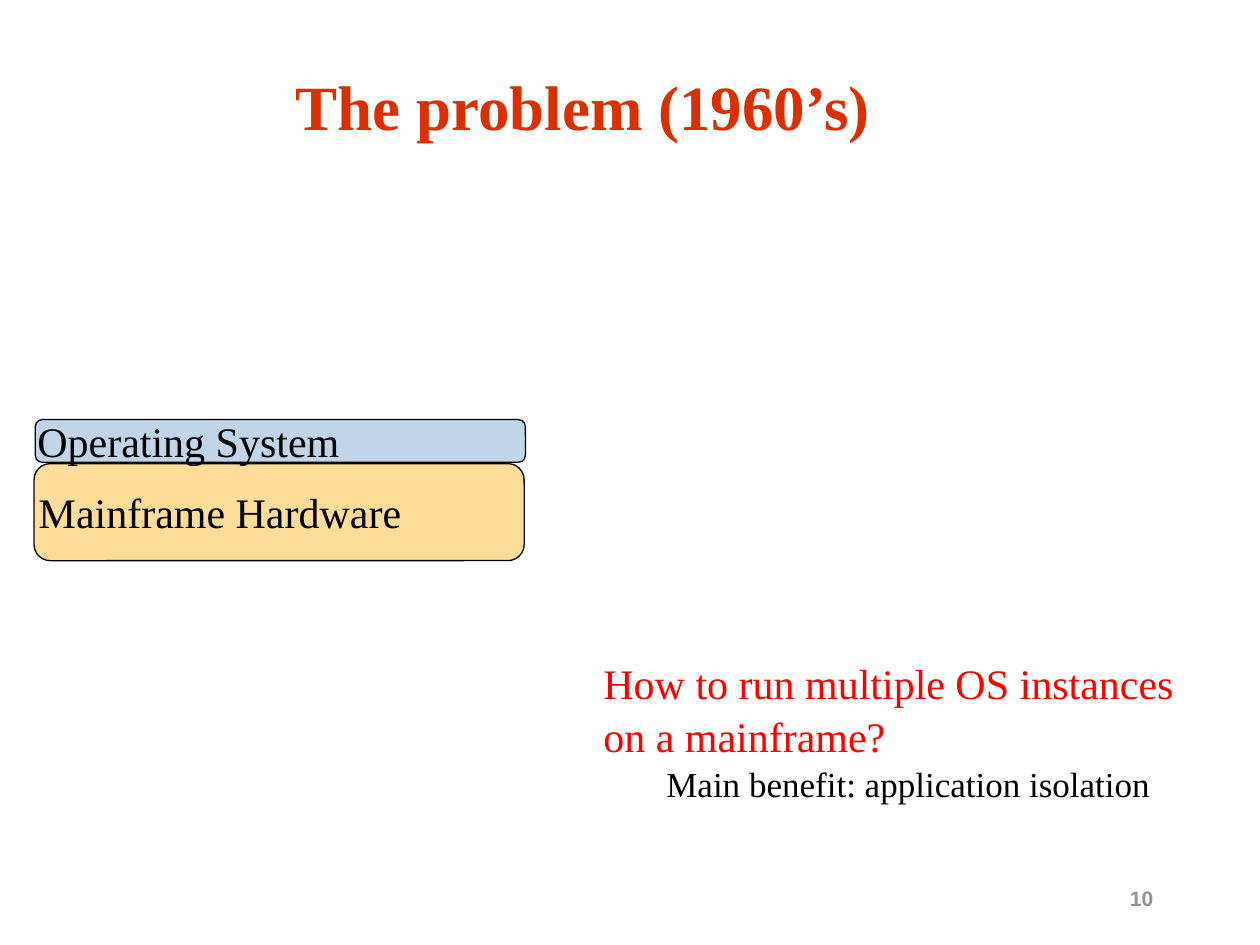
from pptx import Presentation
from pptx.dml.color import RGBColor
from pptx.enum import shapes, text
from pptx.util import Inches, Pt

BLACK = RGBColor(0, 0, 0)
RED = RGBColor(0xFF, 0, 0)
ORANGE = RGBColor(0xDC, 0x2F, 0)
GREY = RGBColor(0x91, 0x91, 0x91)
SAND = RGBColor(0xFF, 0xDD, 0x99)
BLUE = RGBColor(0xC0, 0xD5, 0xEA)
SERIF = "Times New Roman"
LEFT, MID = text.PP_ALIGN.LEFT, text.PP_ALIGN.CENTER
TOP, MIDDLE = text.MSO_ANCHOR.TOP, text.MSO_ANCHOR.MIDDLE


def set_frame(frame, anchor, pad_x, pad_y):
    form = {"word_wrap": True, "vertical_anchor": anchor,
            "margin_left": Inches(pad_x), "margin_right": Inches(pad_x),
            "margin_top": Inches(pad_y), "margin_bottom": Inches(pad_y)}
    for key, value in form.items():
        setattr(frame, key, value)


def write(para, words, size, color, align=LEFT, font=SERIF, bold=False):
    para.alignment = align
    run = para.add_run()
    run.text = words
    run.font.color.rgb = color
    form = {"name": font, "size": Pt(size), "bold": bold}
    for key, value in form.items():
        setattr(run.font, key, value)


deck = Presentation()
deck.slide_width, deck.slide_height = Inches(10), Inches(7.5)
slide = deck.slides.add_slide(deck.slide_layouts[6])

# Title and page number
labels = [
    ("The problem (1960’s)", (0.25, 0.17, 8.75, 1.33), MIDDLE,
     36, ORANGE, MID, SERIF),
    ("10", (8.87, 6.98, 1, 0.3), TOP, 12, GREY, LEFT, "Arial"),
]
for words, box, anchor, size, color, align, font in labels:
    frame = slide.shapes.add_textbox(*map(Inches, box)).text_frame
    set_frame(frame, anchor, 0.1, 0.05)
    write(frame.paragraphs[0], words, size, color, align, font, True)

# System stack
layers = [
    ("Mainframe Hardware", (0.27, 3.68, 3.89, 0.77), SAND),
    ("Operating System", (0.28, 3.33, 3.89, 0.34), BLUE),
]
for words, box, color in layers:
    layer = slide.shapes.add_shape(
        shapes.MSO_SHAPE.ROUNDED_RECTANGLE, *map(Inches, box))
    layer.shadow.inherit = False
    layer.fill.solid()
    layer.fill.fore_color.rgb = color
    layer.line.color.rgb = BLACK
    layer.line.width = Pt(0.75)
    set_frame(layer.text_frame, MIDDLE, 0, 0)
    write(layer.text_frame.paragraphs[0], words, 24, BLACK)

# Question and benefit
box = (4.69, 5.17, 4.81, 1.24)
frame = slide.shapes.add_textbox(*map(Inches, box)).text_frame
set_frame(frame, TOP, 0.1, 0.05)
lines = [
    ("How to run multiple OS instances", 24, RED, 0),
    ("on a mainframe?", 24, RED, 0),
    ("Main benefit: application isolation", 20, BLACK, 1),
]
for row, (words, size, color, level) in enumerate(lines):
    para = frame.add_paragraph() if row else frame.paragraphs[0]
    para.level = level
    para.space_before = Pt(1.3)
    para._p.get_or_add_pPr().set("marL", str(Inches(0.5 * level)))
    write(para, words, size, color)

deck.save("out.pptx")
